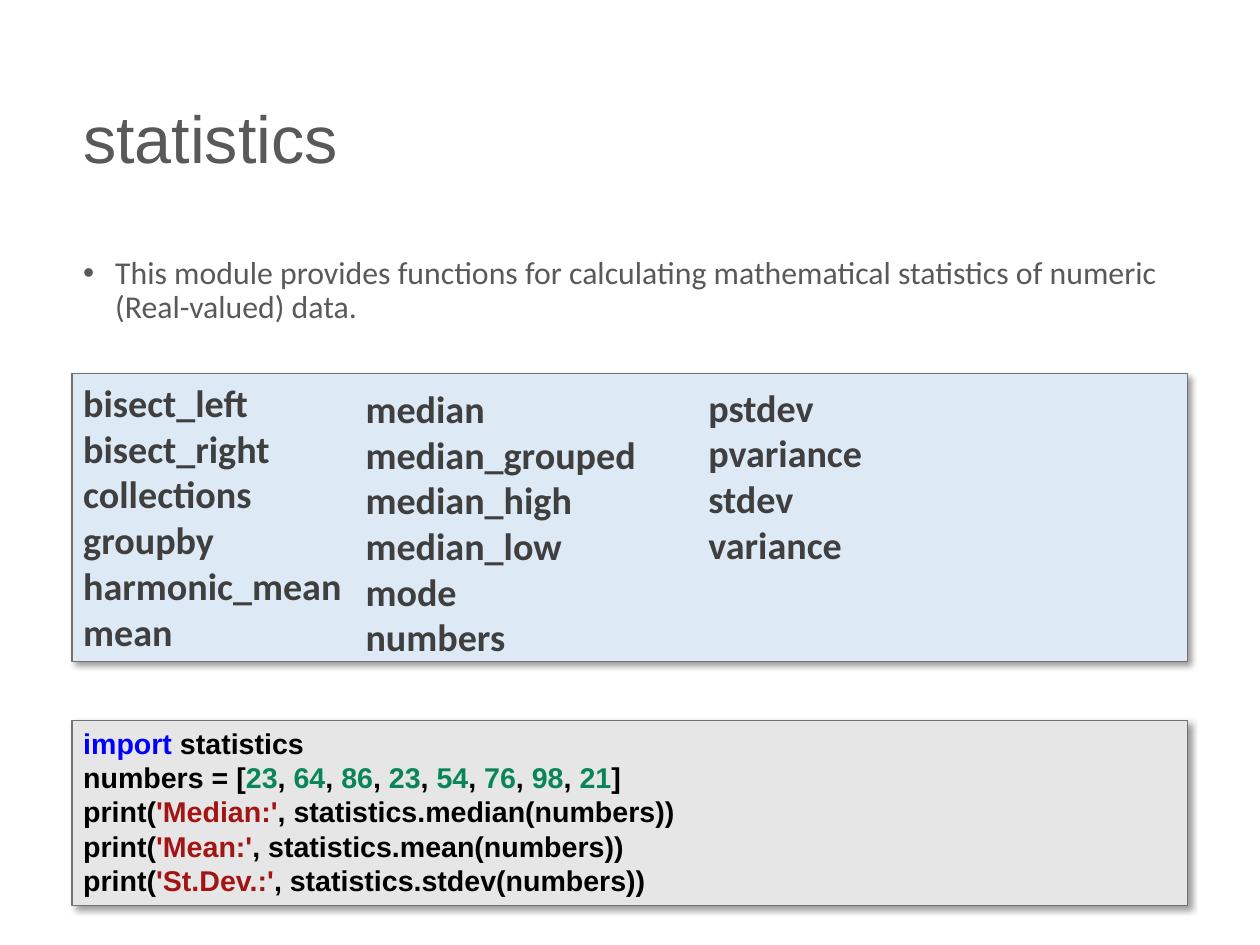
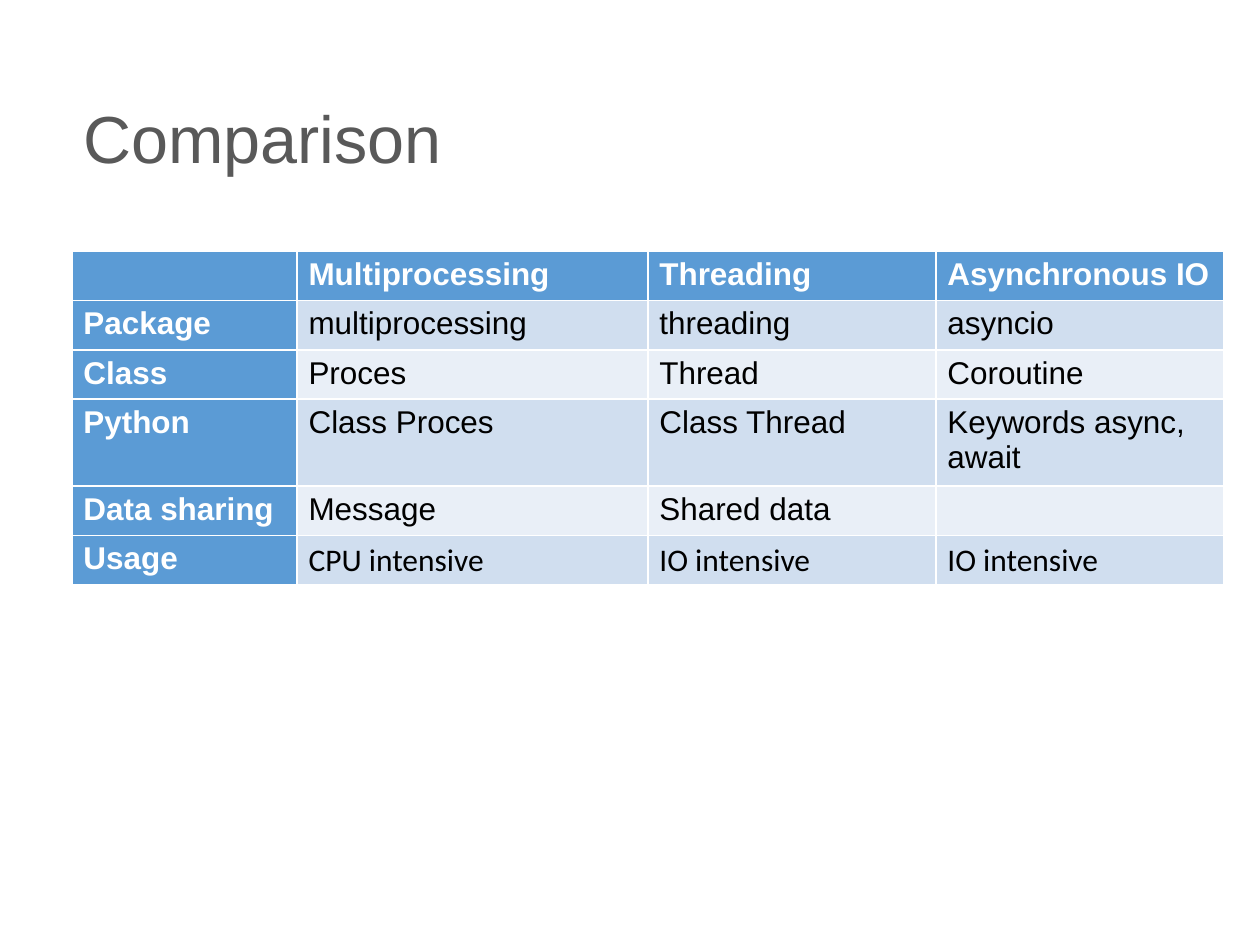
"""Builds two slides: a statistics module overview and a concurrency comparison."""
from pptx import Presentation
from pptx.dml.color import RGBColor
from pptx.enum.shapes import MSO_SHAPE as SHAPE
from pptx.enum.text import MSO_ANCHOR as ANCHOR, PP_ALIGN as ALIGN
from pptx.oxml import parse_xml
from pptx.oxml.ns import nsdecls, qn
from pptx.util import Emu, Inches, Pt

SLIDE_WIDTH, SLIDE_HEIGHT = Emu(10080625), Emu(7559675)

GREY = RGBColor(0x59, 0x59, 0x59)
DARK = RGBColor(0x3F, 0x3F, 0x3F)
BLACK = RGBColor(0, 0, 0)
WHITE = RGBColor(0xFF, 0xFF, 0xFF)
OUTLINE = RGBColor(0x75, 0x70, 0x70)
PALE_BLUE = RGBColor(0xDD, 0xEA, 0xF6)
PALE_GREY = RGBColor(0xE7, 0xE6, 0xE6)
HEADER = RGBColor(0x5B, 0x9B, 0xD5)
BANDS = RGBColor(0xE9, 0xEF, 0xF7), RGBColor(0xD0, 0xDE, 0xEF)
KEYWORD = RGBColor(0, 0, 0xFF)
NUMBER = RGBColor(0x09, 0x86, 0x58)
STRING = RGBColor(0xA3, 0x15, 0x15)

SANS, BODY = "Arial", "Calibri"
LEFT, WIDTH = 0.63, 9.76

FUNCTIONS = [
    ["bisect_left", "bisect_right", "collections", "groupby", "harmonic_mean", "mean"],
    ["median", "median_grouped", "median_high", "median_low", "mode", "numbers"],
    ["pstdev", "pvariance", "stdev", "variance"],
]
SAMPLE = [23, 64, 86, 23, 54, 76, 98, 21]
CALLS = [("Median:", "median"), ("Mean:", "mean"), ("St.Dev.:", "stdev")]
COLUMNS = [1.97, 3.07, 2.52, 2.52]
ROWS = [
    ["", "Multiprocessing", "Threading", "Asynchronous IO"],
    ["Package", "multiprocessing", "threading", "asyncio"],
    ["Class", "Proces", "Thread", "Coroutine"],
    ["Python", "Class Proces", "Class Thread", "Keywords async, await"],
    ["Data sharing", "Message", "Shared data", ""],
    ["Usage", "CPU intensive", "IO intensive", "IO intensive"],
]


def set_font(font, name, size, color, bold=False):
    font.name, font.size, font.bold = name, Pt(size), bold
    font.color.rgb = color


def write(tf, lines, name, size, color, bold=False, spacing=None):
    """Write one paragraph per line; a line is a string or a list of (text, colour)."""
    tf.word_wrap = True
    for i, line in enumerate(lines):
        p = tf.paragraphs[0] if i == 0 else tf.add_paragraph()
        p.alignment = ALIGN.LEFT
        if spacing:
            p.line_spacing = spacing
        set_font(p.font, name, size, color, bold)
        for text, run_color in [(line, color)] if isinstance(line, str) else line:
            if text == "\n":
                p.add_line_break()
                continue
            r = p.add_run()
            r.text = text
            if run_color != color:
                r.font.color.rgb = run_color


def add_text(s, x, y, w, h, lines, name, size, color, bold=False, spacing=None,
             anchor=ANCHOR.TOP, inset=0.05):
    tf = s.shapes.add_textbox(Inches(x), Inches(y), Inches(w), Inches(h)).text_frame
    tf.vertical_anchor = anchor
    tf.margin_top = tf.margin_bottom = Inches(inset)
    write(tf, lines, name, size, color, bold, spacing)
    return tf


def add_title(s, text):
    add_text(s, LEFT, 0.44, WIDTH, 1.6, [text], SANS, 41.9, GREY,
             spacing=0.9, anchor=ANCHOR.MIDDLE)


def add_bullet(p):
    pPr = p._p.get_or_add_pPr()
    pPr.set("marL", str(Inches(0.28)))
    pPr.set("indent", str(-Inches(0.28)))
    for tag in (f'buFont {nsdecls("a")} typeface="{SANS}"',
                f'buChar {nsdecls("a")} char="•"'):
        pPr.find(qn("a:defRPr")).addprevious(parse_xml(f"<a:{tag}/>"))


def add_panel(s, y, h, fill, lines, name, size, color):
    sp = s.shapes.add_shape(SHAPE.RECTANGLE, Inches(LEFT), Inches(y),
                            Inches(WIDTH), Inches(h))
    sp.fill.solid()
    sp.fill.fore_color.rgb = fill
    sp.line.color.rgb = OUTLINE
    sp.line.width = Pt(0.75)
    sp.shadow.inherit = False
    sp._element.spPr.find(qn("a:effectLst")).append(parse_xml(
        f'<a:outerShdw {nsdecls("a")} blurRad="{Pt(4)}" dist="{Pt(3)}" dir="2700000"'
        ' algn="tl" rotWithShape="0"><a:srgbClr val="000000"><a:alpha val="40000"/>'
        '</a:srgbClr></a:outerShdw>'))
    sp.text_frame.vertical_anchor = ANCHOR.TOP
    write(sp.text_frame, lines, name, size, color, bold=True)


def add_comparison(s):
    table = s.shapes.add_table(len(ROWS), len(COLUMNS), Inches(LEFT), Inches(2.2),
                               Inches(sum(COLUMNS)), Inches(0.41 * len(ROWS))).table
    table.first_col = True
    for column, width in zip(table.columns, COLUMNS):
        column.width = Inches(width)
    for i, row in enumerate(ROWS):
        for j, text in enumerate(row):
            cell = table.cell(i, j)
            heading = i == 0 or j == 0
            cell.fill.solid()
            cell.fill.fore_color.rgb = HEADER if heading else BANDS[i % 2]
            if text:
                r = cell.text_frame.paragraphs[0].add_run()
                r.text = text
                name = BODY if row[0] == "Usage" and not heading else SANS
                set_font(r.font, name, 19.8, WHITE if heading else BLACK, heading)


def code_lines():
    opening = [("import", KEYWORD), (" statistics", BLACK), ("\n", BLACK),
               ("numbers = [", BLACK)]
    for i, value in enumerate(SAMPLE):
        if i:
            opening.append((", ", BLACK))
        opening.append((str(value), NUMBER))
    opening.append(("]", BLACK))
    prints = [[("print(", BLACK), (f"'{label}'", STRING),
               (f", statistics.{function}(numbers))", BLACK)]
              for label, function in CALLS]
    return [opening, *prints]


def build_statistics(s):
    add_title(s, "statistics")
    tf = add_text(s, LEFT, 2.2, WIDTH, 5.95, [
        "This module provides functions for calculating mathematical statistics "
        "of numeric (Real-valued) data."], BODY, 20, GREY, spacing=0.9)
    add_bullet(tf.paragraphs[0])
    add_panel(s, 3.27, 2.52, PALE_BLUE, FUNCTIONS[0], BODY, 24, DARK)
    add_panel(s, 6.3, 1.62, PALE_GREY, code_lines(), SANS, 18, BLACK)
    for x, y, h, names in zip((3.1, 6.1), (3.27, 3.26), (2.63, 1.82), FUNCTIONS[1:]):
        add_text(s, x, y, 3.28, h, names, BODY, 24, DARK, bold=True, inset=0.1)


def build_comparison(s):
    add_title(s, "Comparison")
    add_comparison(s)


def main():
    prs = Presentation()
    prs.slide_width, prs.slide_height = SLIDE_WIDTH, SLIDE_HEIGHT
    for build in (build_statistics, build_comparison):
        build(prs.slides.add_slide(prs.slide_layouts[6]))
    prs.save("out.pptx")


if __name__ == "__main__":
    main()
